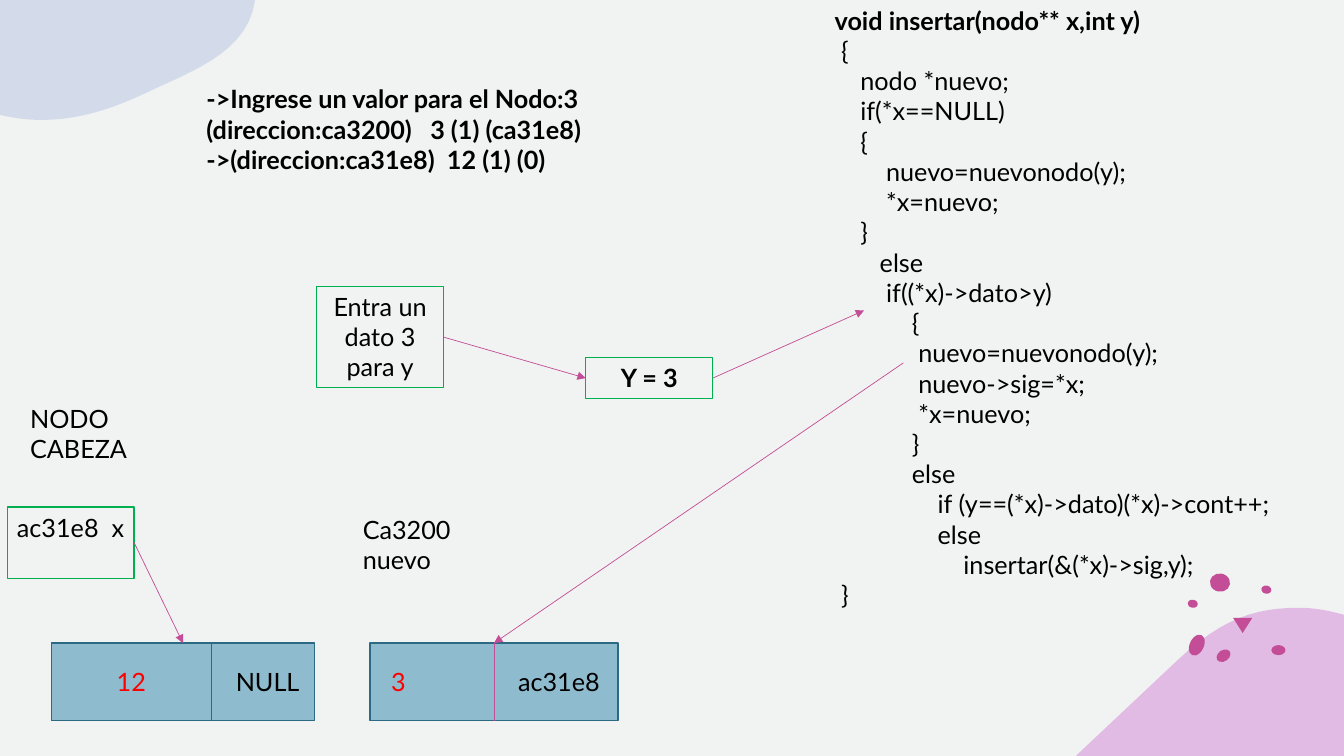
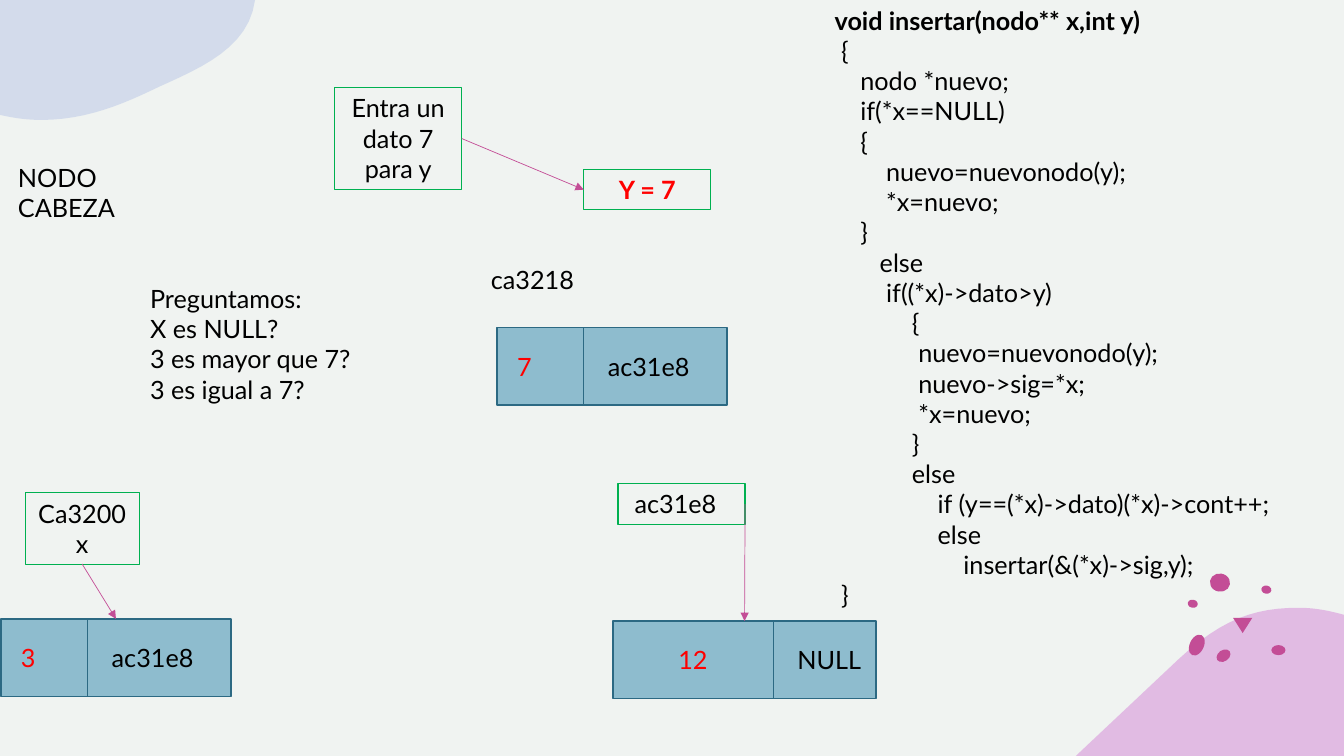
from pptx import Presentation
from pptx.dml.color import RGBColor
from pptx.enum.shapes import MSO_CONNECTOR as CONN, MSO_SHAPE as SHAPE
from pptx.enum.text import MSO_ANCHOR as ANCHOR, PP_ALIGN as ALIGN
from pptx.oxml.ns import qn
from pptx.util import Pt
from lxml.etree import SubElement

PX = 9144  # EMU per px, 100 px to the inch
WIDTH, HEIGHT = 1333, 750
COLORS = {
    "back": "F0F3F1", "ink": "000000", "red": "FF0000", "green": "00B050",
    "pink": "C34D96", "node": "3B8EB1", "edge": "2C6983",
    "lilac": "D384D6", "sky": "B8C5E7",
}
FONT = {"name": "Lato", "size": Pt(18), "bold": False}
ROW_H, PAD_H = 30.3, 10  # one text row, and the space above and below
BOX_W, BOX_INSET = 126, 6
NODE_H, NEXT_GAP = 77, 14
TOP, LEFT, BOTTOM, RIGHT = range(4)

# Corner areas: fill, then points (2 numbers) and curves (6 numbers)
CORNERS = [
    ("lilac", [(1067, HEIGHT), (1169, 654), (1212, 614, 1245, 603, 1288, 603),
               (1304, 603, 1319, 606, WIDTH, 610), (WIDTH, HEIGHT)]),
    ("sky", [(0, 0), (253, 0), (247, 47, 200, 67, 158, 86),
             (123, 103, 86, 119, 41, 119), (27, 119, 13, 117, 0, 114)]),
]
# Speckles: shape, place, rotation
SPECKLES = [
    (SHAPE.OVAL, (1200, 569, 20, 18), 10),
    (SHAPE.OVAL, (1251, 581, 10, 8), 10),
    (SHAPE.OVAL, (1178, 595, 10, 8), 10),
    (SHAPE.OVAL, (1206, 645, 15, 11), -35),
    (SHAPE.OVAL, (1261, 640, 14, 10), 0),
    (SHAPE.OVAL, (1180, 629, 14, 22), 25),
    (SHAPE.FLOWCHART_MERGE, (1223, 613, 19, 15), 0),
]

CODE = """void insertar(nodo** x,int y)
 {
    nodo *nuevo;
    if(*x==NULL)
    {
        nuevo=nuevonodo(y);
        *x=nuevo;
    }
       else
        if((*x)->dato>y)
            {
             nuevo=nuevonodo(y);
             nuevo->sig=*x;
             *x=nuevo;
            }
            else
                if (y==(*x)->dato)(*x)->cont++;
                else
                    insertar(&(*x)->sig,y);
 }""".split("\n")

# Node forms: width, divider offset, value inset, divider colour
FORMS = {
    "last": (261, 159, 55, "edge"),
    "linked": (228, 86, 10, "edge"),
    "wide": (246, 123, 11, "pink"),
}

# texts: left, top, width, rows, lines, bold
# boxes: name: left, top, rows, lines, then colour, bold, width, right inset
# nodes: name: left, top, form, value, next
# arrows: ends are (name, side) or (x, y)
SLIDES = [
    {
        "texts": [
            (20, 395, 139, 2, ["NODO CABEZA"], False),
            (350, 505, 113, 2, ["Ca3200", "nuevo"], False),
            (195, 78, 457, 3, ["->Ingrese un valor para el Nodo:3",
                               "(direccion:ca3200)   3 (1) (ca31e8)",
                               "->(direccion:ca31e8)  12 (1) (0)"], True),
        ],
        "boxes": {
            "entra": (314, 284, 3, ["Entra un dato 3 para y"]),
            "cabeza": (7, 503, 2, ["ac31e8  x"]),
            "y": (581, 355, 1, ["Y = 3"], "ink", True),
        },
        "nodes": {
            "nuevo": (367, 638, "wide", "3", "ac31e8"),
            "primero": (51, 638, "last", "12", "NULL"),
        },
        "arrows": [
            (("cabeza", RIGHT), ("primero", TOP)),
            (("entra", RIGHT), ("y", LEFT)),
            (("y", RIGHT), (857, 308)),
            ((896, 360), ("nuevo", TOP)),
        ],
    },
    {
        "texts": [
            (8, 156, 139, 2, ["NODO CABEZA"], False),
            (139, 276, 246, 4, ["Preguntamos:", "X es NULL?",
                                "3 es mayor que 7?", "3 es igual a 7?"], False),
            (477, 257, 139, 1, ["ca3218"], False),
        ],
        "boxes": {
            "entra": (332, 87, 3, ["Entra un dato 7 para y"]),
            "siguiente": (613, 480, 1, ["ac31e8"], "ink", False, BOX_W, 18),
            "y": (579, 168, 1, ["Y = 7"], "red", True),
            "cabeza": (25, 489, 2, ["Ca3200", "x"], "ink", False, 113),
        },
        "nodes": {
            "primero": (1, 614, "linked", "3", "ac31e8"),
            "segundo": (608, 616, "last", "12", "NULL"),
            "nuevo": (493, 325, "linked", "7", "ac31e8"),
        },
        "arrows": [
            (("siguiente", RIGHT), ("segundo", TOP)),
            (("entra", RIGHT), ("y", LEFT)),
            (("cabeza", BOTTOM), ("primero", TOP)),
        ],
    },
]


def px(*values):
    return [round(v * PX) for v in values]


def rgb(name):
    return RGBColor.from_string(COLORS[name])


def tall(rows):
    return rows * ROW_H + PAD_H


def paint(sp, fill=None, opacity=100, line=None, width=1):
    sp.shadow.inherit = False
    if fill:
        sp.fill.solid()
        sp.fill.fore_color.rgb = rgb(fill)
        if opacity < 100:
            clr = sp._element.spPr.find(qn("a:solidFill"))[0]
            SubElement(clr, qn("a:alpha"), val=str(opacity * 1000))
    else:
        sp.fill.background()
    if line:
        sp.line.color.rgb = rgb(line)
        sp.line.width = Pt(width)
    else:
        sp.line.fill.background()


def write(sp, lines, color="ink", bold=False, align=ALIGN.LEFT, **frame):
    tf = sp.text_frame
    settings = {"word_wrap": True, "vertical_anchor": ANCHOR.TOP, **frame}
    for key, value in settings.items():
        setattr(tf, key, value)
    for i, line in enumerate(lines):
        p = tf.paragraphs[0] if i == 0 else tf.add_paragraph()
        p.alignment = align
        r = p.add_run()
        r.text = line
        for key, value in {**FONT, "bold": bold}.items():
            setattr(r.font, key, value)
        r.font.color.rgb = rgb(color)
    return tf


def add_text(s, place, lines, **style):
    return write(s.shapes.add_textbox(*px(*place)), lines, **style)


def add_box(s, left, top, rows, lines, color="ink", bold=False,
            width=BOX_W, inset=BOX_INSET):
    sp = s.shapes.add_shape(SHAPE.RECTANGLE, *px(left, top, width, tall(rows)))
    paint(sp, line="green", width=0.75)
    margin_left, margin_right = px(BOX_INSET, inset)
    write(sp, lines, color, bold, ALIGN.CENTER,
          margin_left=margin_left, margin_right=margin_right)
    return sp


def add_line(s, color, start, end):
    ln = s.shapes.add_connector(CONN.STRAIGHT, *px(*start, *end))
    ln.line.color.rgb = rgb(color)
    ln.line.width = Pt(0.5)
    SubElement(ln._element.spPr, qn("a:effectLst"))
    return ln


def add_node(s, left, top, form, value, following):
    width, split, inset, split_color = FORMS[form]
    sp = s.shapes.add_shape(SHAPE.RECTANGLE, *px(left, top, width, NODE_H))
    paint(sp, "node", 54, "edge")
    x = left + split
    add_line(s, split_color, (x, top), (x, top + NODE_H))
    cells = [(left + inset, x, value, "red"),
             (x + NEXT_GAP, left + width, following, "ink")]
    for start, end, text, color in cells:
        add_text(s, (start, top, end - start, NODE_H), [text], color=color,
                 vertical_anchor=ANCHOR.MIDDLE)
    return sp


def add_arrow(s, shapes, start, end):
    points = [(0, 0) if e[0] in shapes else e for e in (start, end)]
    ln = add_line(s, "pink", *points)
    for e, connect in ((start, ln.begin_connect), (end, ln.end_connect)):
        if e[0] in shapes:
            connect(shapes[e[0]], e[1])
    SubElement(ln._element.spPr.find(qn("a:ln")), qn("a:tailEnd"), type="triangle")


def outline(segments, steps=12):
    """Points along a run of straight lines and cubic curves."""
    pts = []
    for seg in segments:
        if len(seg) == 2:
            pts.append(seg)
            continue
        a, b, c, d = pts[-1], seg[:2], seg[2:4], seg[4:]
        for t in (k / steps for k in range(1, steps + 1)):
            u = 1 - t
            pts.append(tuple(u**3 * a[i] + 3 * u * u * t * b[i]
                             + 3 * u * t * t * c[i] + t**3 * d[i] for i in (0, 1)))
    return pts


def add_base(prs):
    """Slide with the shared background, decoration and code listing."""
    s = prs.slides.add_slide(prs.slide_layouts[6])
    s.background.fill.solid()
    s.background.fill.fore_color.rgb = rgb("back")
    for fill, segments in CORNERS:
        first, *rest = [px(*pt) for pt in outline(segments)]
        fb = s.shapes.build_freeform(*first)
        fb.add_line_segments(rest, close=True)
        paint(fb.convert_to_shape(), fill, 50)
    for shape, place, rotation in SPECKLES:
        sp = s.shapes.add_shape(shape, *px(*place))
        sp.rotation = rotation
        paint(sp, "pink")
    tf = add_text(s, (818, 0, 507, tall(len(CODE))), CODE)
    tf.paragraphs[0].runs[0].font.bold = True
    return s


def main():
    prs = Presentation()
    prs.slide_width, prs.slide_height = px(WIDTH, HEIGHT)
    for data in SLIDES:
        s = add_base(prs)
        for left, top, width, rows, lines, bold in data["texts"]:
            add_text(s, (left, top, width, tall(rows)), lines, bold=bold)
        shapes = {name: add_node(s, *node) for name, node in data["nodes"].items()}
        shapes.update({name: add_box(s, *box) for name, box in data["boxes"].items()})
        for start, end in data["arrows"]:
            add_arrow(s, shapes, start, end)
    prs.save("out.pptx")


if __name__ == "__main__":
    main()
